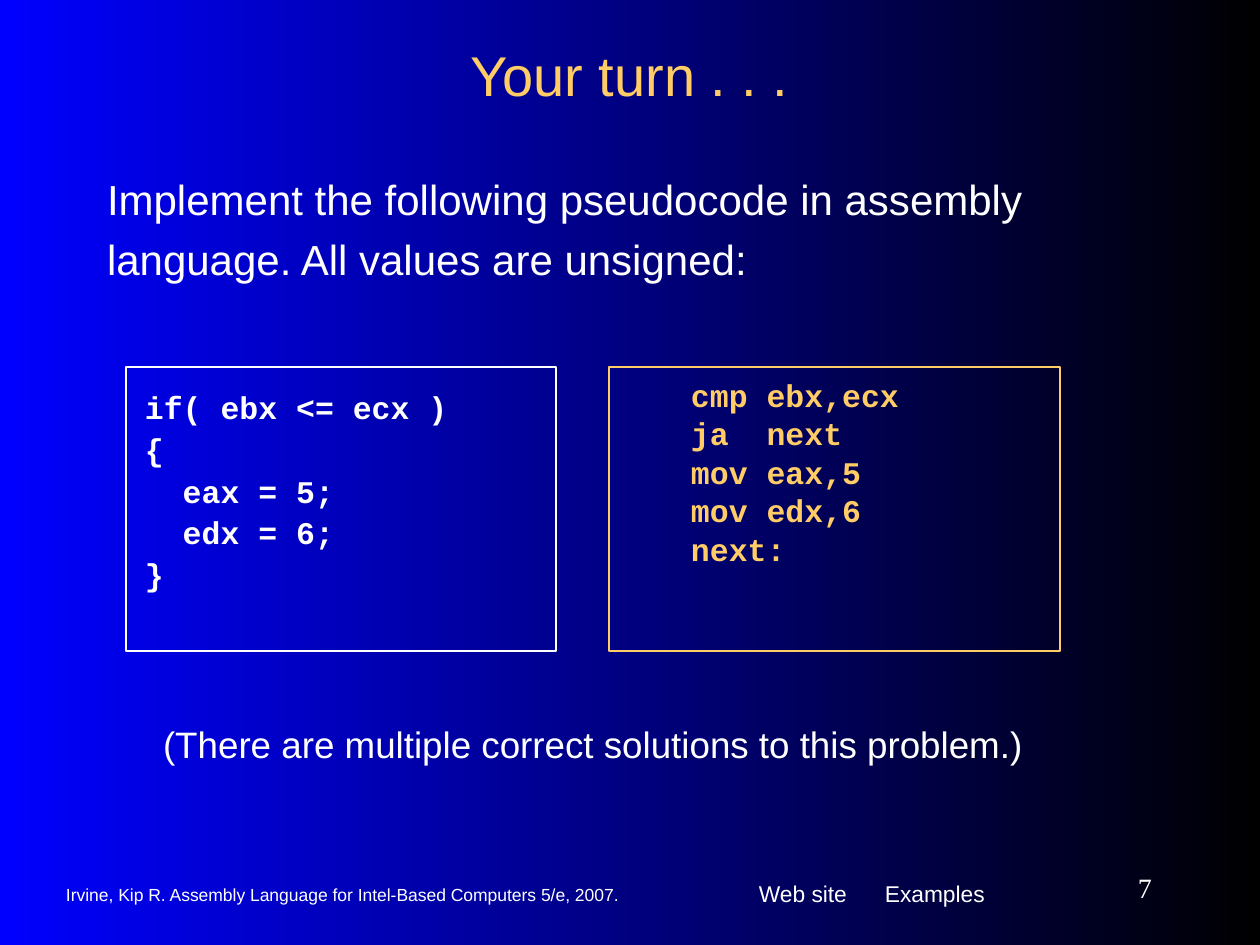
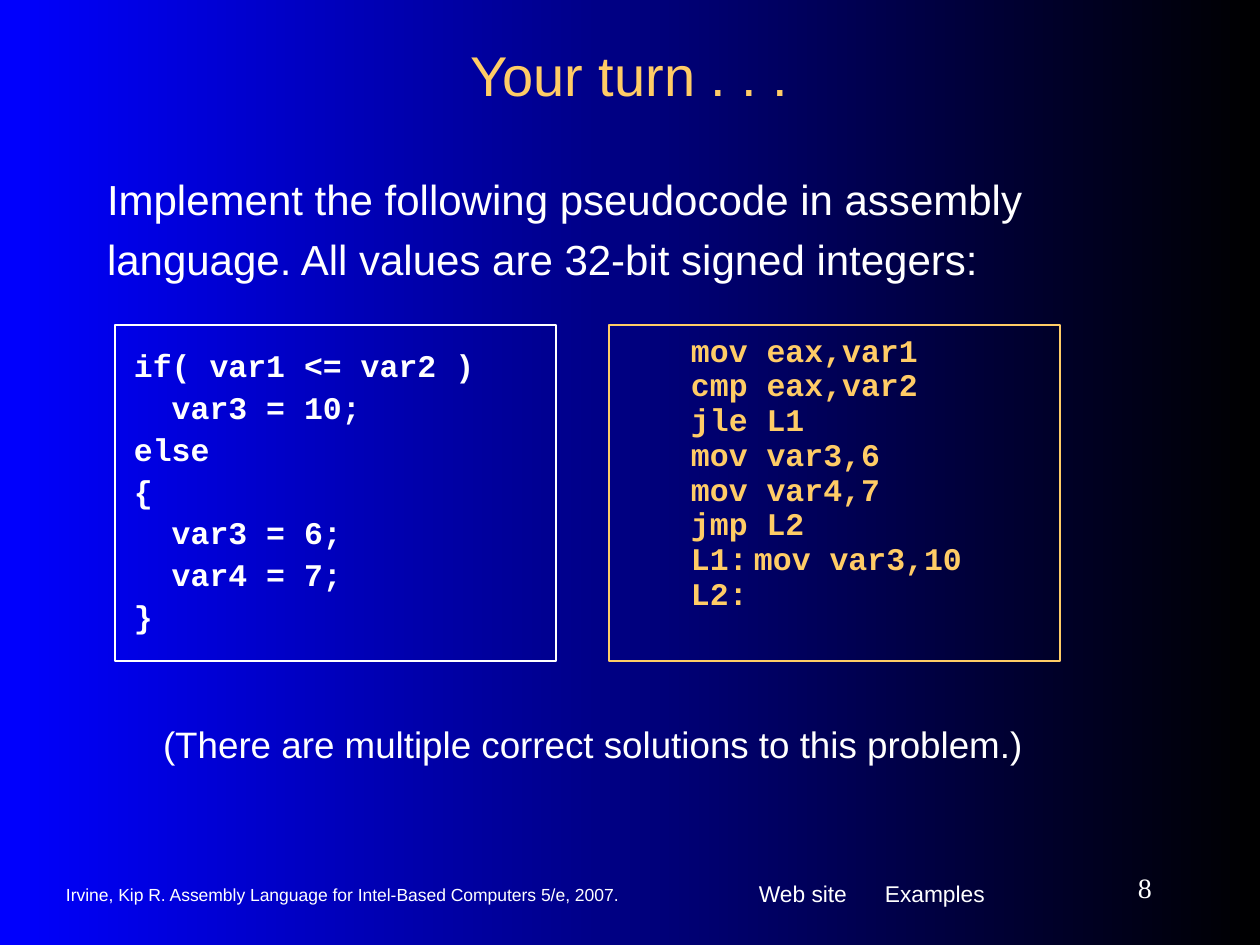
"""Builds two assembly-language exercise slides that share one master look."""
import dataclasses

import pptx
import pptx.dml.color
import pptx.enum.shapes
import pptx.enum.text
import pptx.oxml.ns
import pptx.util
from lxml import etree

ALIGN = pptx.enum.text.PP_ALIGN
ANCHOR = pptx.enum.text.MSO_ANCHOR
FIRST_NUMBER = 7
HEADING = "Your turn . . ."
NOTE = "(There are multiple correct solutions to this problem.)"
CITATION = "Irvine, Kip R. Assembly Language for Intel-Based Computers 5/e, 2007."
FOOTER_ITEMS = ("Web site", "Examples")
EXERCISES = [
    {
        "task": "Implement the following pseudocode in assembly language. "
                "All values are unsigned:",
        "pseudocode": ["if( ebx <= ecx )", "{", "  eax = 5;", "  edx = 6;", "}"],
        "assembly": ["cmp ebx,ecx", "ja  next", "mov eax,5", "mov edx,6", "next:"],
        "top": 367, "height": 284, "left": 126, "assembly_spacing": 0.5,
    },
    {
        "task": "Implement the following pseudocode in assembly language. "
                "All values are 32-bit signed integers:",
        "pseudocode": ["if( var1 <= var2 )", "  var3 = 10;", "else", "{",
                       "  var3 = 6;", "  var4 = 7;", "}"],
        "assembly": ["mov eax,var1", "cmp eax,var2", "jle L1", "mov var3,6",
                     "mov var4,7", "jmp L2", "L1:\tmov var3,10", "L2:"],
        "top": 325, "height": 336, "left": 115, "assembly_spacing": 0.4,
    },
]

TITLE_AREA = (94, 32, 1071, 84)
TASK_AREA = (94, 157, 1071, 168)
NOTE_AREA = (94, 703, 998, 82)
CITATION_AREA = (53, 873, 651, 42)
LINKS_AREA = (746, 861, 283, 65)
NUMBER_AREA = (1029, 861, 136, 53)
PSEUDOCODE_RIGHT = 556
ASSEMBLY_LEFT, ASSEMBLY_WIDTH = 609, 451
CODE_INDENT = 63
LINKS_TAB = 119
TIGHT, LOOSE, CODE_INSET = (13, 6), (13, 19), (19, 25)


@dataclasses.dataclass(frozen=True)
class Style:
    size: int
    color: str
    face: str = "Arial"
    bold: bool = False


@dataclasses.dataclass(frozen=True)
class Theme:
    glow: str = "0000FF"
    dark: str = "000000"
    title: Style = Style(32, "FFCC66")
    task: Style = Style(24, "FFFFFF")
    note: Style = Style(21, "FFFFFF")
    pseudocode: Style = Style(18, "FFFFFF", "Courier New", True)
    assembly: Style = Style(18, "FFCC66", "Courier New", True)
    links: Style = Style(13, "FFFFFF")
    citation: Style = Style(10, "FFFFFF")
    number: Style = Style(16, "FFFFFF", "Times New Roman")
    outline: float = 0.75


THEME = Theme()


def px(length):
    return round(length * 914400 / 126)


def rgb(color):
    return pptx.dml.color.RGBColor.from_string(color)


def place(shape, area):
    shape.left, shape.top, shape.width, shape.height = map(px, area)


def write(shape, lines, style, align=ALIGN.LEFT, anchor=ANCHOR.TOP, inset=TIGHT,
          spacing=None, gap=0, indent=0, tab=None):
    """Fills a shape with one formatted paragraph per line."""
    frame = shape.text_frame
    frame.word_wrap = True
    frame.auto_size = pptx.enum.text.MSO_AUTO_SIZE.NONE
    frame.vertical_anchor = anchor
    frame.margin_left = frame.margin_right = px(inset[0])
    frame.margin_top = frame.margin_bottom = px(inset[1])
    for index, line in enumerate(lines):
        paragraph = frame.add_paragraph() if index else frame.paragraphs[0]
        paragraph.alignment = align
        paragraph.space_before = pptx.util.Pt(gap if index else 0)
        if spacing:
            paragraph.line_spacing = spacing
        properties = paragraph._p.get_or_add_pPr()
        properties.set("marL", str(px(indent)))
        properties.set("indent", "0")
        etree.SubElement(properties, pptx.oxml.ns.qn("a:buNone"))
        if tab:
            stops = etree.SubElement(properties, pptx.oxml.ns.qn("a:tabLst"))
            etree.SubElement(stops, pptx.oxml.ns.qn("a:tab"), pos=str(px(tab)), algn="l")
        run = paragraph.add_run()
        run.text = line
        run.font.size = pptx.util.Pt(style.size)
        run.font.name = style.face
        run.font.bold = style.bold
        run.font.color.rgb = rgb(style.color)


def add_label(slide, area, text, style, **layout):
    label = slide.shapes.add_textbox(*map(px, area))
    write(label, [text], style, **layout)
    return label


def add_code(slide, area, lines, style, **layout):
    panel = slide.shapes.add_shape(pptx.enum.shapes.MSO_SHAPE.RECTANGLE, *map(px, area))
    panel.shadow.inherit = False
    panel.fill.background()
    panel.line.color.rgb = rgb(style.color)
    panel.line.width = pptx.util.Pt(THEME.outline)
    write(panel, lines, style, inset=CODE_INSET, tab=CODE_INDENT, **layout)


def paint_background(master):
    fill = master.background.fill
    fill.gradient()
    fill.gradient_angle = 0
    for stop, color in zip(fill.gradient_stops, (THEME.glow, THEME.dark)):
        stop.color.rgb = rgb(color)


def add_master_links(master, slide):
    links = add_label(slide, LINKS_AREA, "\t".join(FOOTER_ITEMS), THEME.links,
                      inset=LOOSE, tab=LINKS_TAB)
    master.shapes.element.append(links.element)


def add_exercise(deck, number, exercise):
    slide = deck.slides.add_slide(deck.slide_layouts[1])
    heading, task = slide.shapes.title, slide.placeholders[1]
    place(heading, TITLE_AREA)
    write(heading, [HEADING], THEME.title, align=ALIGN.CENTER, anchor=ANCHOR.MIDDLE)
    place(task, TASK_AREA)
    write(task, [exercise["task"]], THEME.task, spacing=1.2)

    top, height, left = exercise["top"], exercise["height"], exercise["left"]
    add_code(slide, (ASSEMBLY_LEFT, top, ASSEMBLY_WIDTH, height), exercise["assembly"],
             THEME.assembly, spacing=exercise["assembly_spacing"], gap=11.2,
             indent=CODE_INDENT)
    add_code(slide, (left, top, PSEUDOCODE_RIGHT - left, height), exercise["pseudocode"],
             THEME.pseudocode, spacing=0.9, gap=4.5)

    add_label(slide, NOTE_AREA, NOTE, THEME.note, align=ALIGN.CENTER, inset=LOOSE)
    add_label(slide, CITATION_AREA, CITATION, THEME.citation, anchor=ANCHOR.MIDDLE)
    add_label(slide, NUMBER_AREA, str(number), THEME.number, align=ALIGN.RIGHT,
              anchor=ANCHOR.MIDDLE)
    return slide


def main():
    deck = pptx.Presentation()
    deck.slide_width, deck.slide_height = px(1260), px(945)
    paint_background(deck.slide_master)
    slides = [add_exercise(deck, number, exercise)
              for number, exercise in enumerate(EXERCISES, FIRST_NUMBER)]
    add_master_links(deck.slide_master, slides[0])
    deck.save("out.pptx")


if __name__ == "__main__":
    main()
